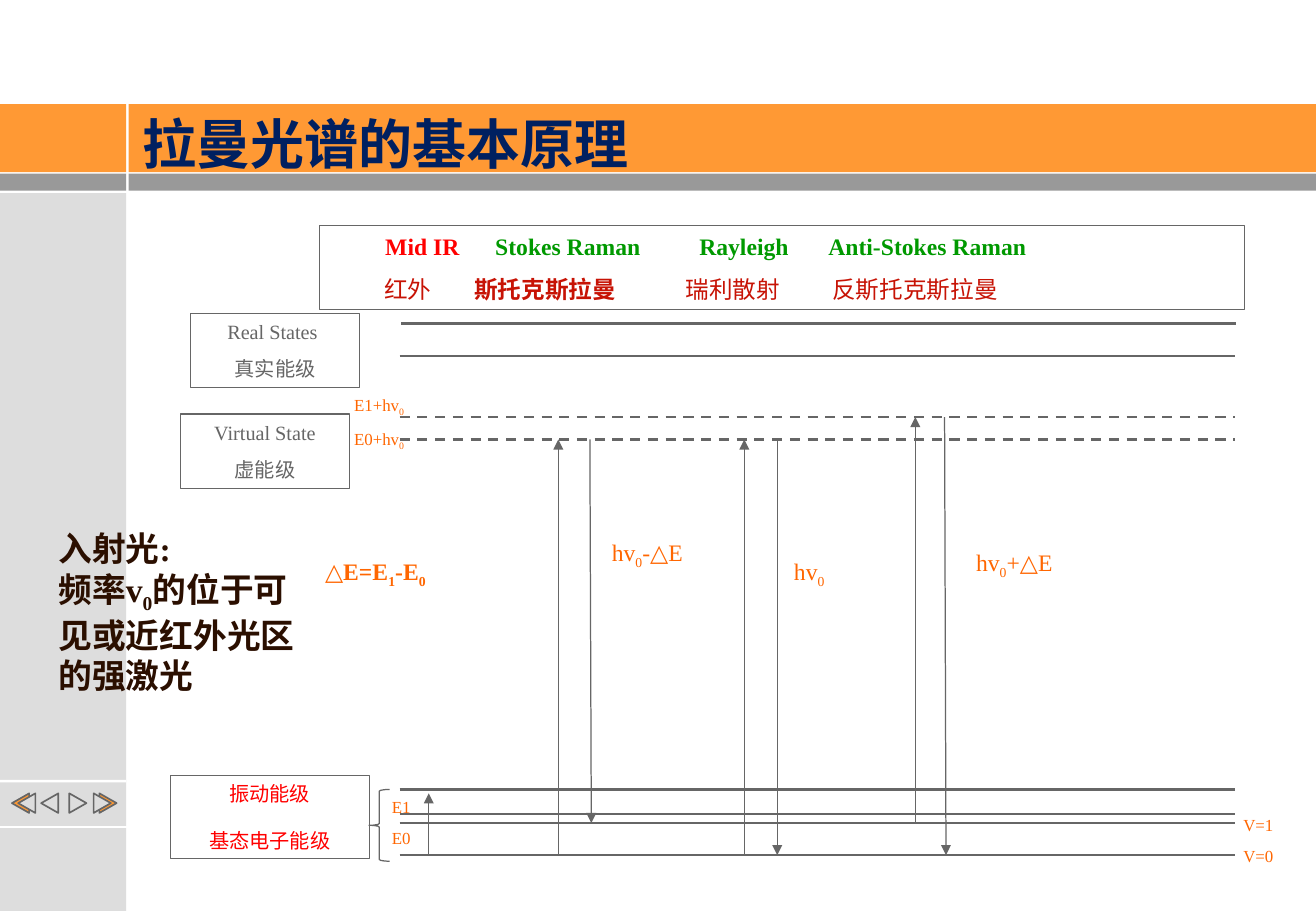
from lxml import etree
from pptx import Presentation
from pptx.dml.color import RGBColor
from pptx.enum.dml import MSO_LINE
from pptx.enum.shapes import MSO_CONNECTOR, MSO_SHAPE as SHAPE
from pptx.enum.text import MSO_ANCHOR, PP_ALIGN
from pptx.oxml.ns import qn
from pptx.util import Cm, Pt

rgb = RGBColor.from_string
SERIF, GREY, ORANGE, RED = "Times New Roman", "666666", "FF6600", "FF0000"


def add_box(x, y, w, h, fill=None, line=None, width=0.75, kind=SHAPE.RECTANGLE):
    sp = s.shapes.add_shape(kind, Cm(x), Cm(y), Cm(w), Cm(h))
    sp.shadow.inherit = False
    if fill:
        sp.fill.solid()
        sp.fill.fore_color.rgb = rgb(fill)
    else:
        sp.fill.background()
    if line:
        sp.line.color.rgb = rgb(line)
        sp.line.width = Pt(width)
    else:
        sp.line.fill.background()
    return sp


def write(sp, lines, size, color, bold=False, before=0, align=PP_ALIGN.LEFT, font=SERIF):
    """Fill a shape with lines; the character after each _ is a subscript."""
    tf = sp.text_frame
    tf.word_wrap = True
    tf.vertical_anchor = MSO_ANCHOR.TOP
    for i, line in enumerate(lines):
        p = tf.add_paragraph() if i else tf.paragraphs[0]
        p.alignment = align
        if i:
            p.space_before = Pt(before)
        first, *rest = line.split("_")
        pieces = [(first, False)]
        for part in rest:
            pieces += [(part[0], True), (part[1:], False)]
        for text, lowered in pieces:
            if not text:
                continue
            r = p.add_run()
            r.text = text
            r.font.size, r.font.bold, r.font.name = Pt(size), bold, font
            r.font.color.rgb = rgb(color)
            if lowered:
                r.font._element.set("baseline", "-25000")
    return tf


prs = Presentation()
prs.slide_width, prs.slide_height = Cm(27.53), Cm(19.05)
s = prs.slides.add_slide(prs.slide_layouts[6])

# Header bands and sidebar
SIDE = 2.64
for x, w in ((0, SIDE), (2.69, 24.84)):
    add_box(x, 2.18, w, 1.42, "FF9934")
    add_box(x, 3.63, w, 0.36, "999999")
add_box(0, 4.04, SIDE, 13.23, "DDDDDD")
add_box(0, 17.32, SIDE, 1.73, "DDDDDD")
add_box(0, 16.31, SIDE, 0.05, "FFFFFF")

# Navigation arrows
for x, fill, turn in ((2.08, "FF9933", 0), (1.96, "DDDDDD", 0), (0.25, "FF9933", 180),
                      (0.38, "DDDDDD", 180), (1.45, None, 0), (0.86, None, 180)):
    arrow = add_box(x, 16.59, 0.36, 0.41, fill, GREY, 1, SHAPE.RIGHT_ARROW)
    arrow.adjustments[0], arrow.adjustments[1] = 0.458, 1
    arrow.rotation = turn

title = add_box(2.74, 2.31, 23.67, 1.24, "FF9934")
title.text_frame.margin_top = title.text_frame.margin_bottom = 0
write(title, ["拉曼光谱的基本原理"], 32, "002060", True, font="Arial")

# State boxes
for x, y, w, h, lines, color in (
        (3.56, 16.21, 4.17, 1.75, ["振动能级", "基态电子能级"], RED),
        (3.78, 8.66, 3.53, 1.55, ["Virtual State", "虚能级"], GREY),
        (3.99, 6.55, 3.53, 1.55, ["Real States ", "真实能级"], GREY)):
    tf = write(add_box(x, y, w, h, line=GREY), lines, 12, color, False, 7.5, PP_ALIGN.CENTER)
    if color == RED:
        tf.paragraphs[1].line_spacing = 1.4
add_box(7.72, 16.51, 0.43, 1.5, line=GREY, kind=SHAPE.LEFT_BRACE)

# Column headings, aligned by tab stops
GREEN, CRIMSON = "009900", "C71305"
headings = (
    ((1.13, "Mid IR", RED, True), (3.43, "Stokes Raman", GREEN, True),
     (7.7, "Rayleigh", GREEN, True), (10.4, "Anti-Stokes Raman", GREEN, True)),
    ((1.11, "红外", CRIMSON, False), (2.99, "斯托克斯拉曼", CRIMSON, True),
     (7.41, "瑞利散射", CRIMSON, False), (10.48, "反斯托克斯拉曼", CRIMSON, False)))
tf = add_box(6.68, 4.72, 19.35, 1.75, line=GREY).text_frame
tf.word_wrap = True
tf.vertical_anchor = MSO_ANCHOR.TOP
for i, row in enumerate(headings):
    p = tf.add_paragraph() if i else tf.paragraphs[0]
    p.alignment = PP_ALIGN.LEFT
    if i:
        p.space_before = Pt(8.8)
    tabs = etree.SubElement(p._p.get_or_add_pPr(), qn("a:tabLst"))
    for stop, text, color, bold in row:
        etree.SubElement(tabs, qn("a:tab"), pos=str(Cm(stop)), algn="l")
        r = p.add_run()
        r.text = "\t" + text
        r.font.size, r.font.bold, r.font.name = Pt(14), bold, SERIF
        r.font.color.rgb = rgb(color)

# Energy levels, then transitions: x1, y1, x2, y2, width, dashed, arrow
LEFT, RIGHT = 8.36, 25.83
E0, E1, VIRTUAL0, VIRTUAL1 = 17.88, 17.21, 9.19, 8.72
lines = [(LEFT, y, RIGHT, y, 1.5, y in (VIRTUAL0, VIRTUAL1), False)
         for y in (7.44, VIRTUAL1, VIRTUAL0, 16.51, 17.02, E1, E0)]
lines.append((8.39, 6.76, 25.86, 6.76, 1.5, False, False))
lines += [(x1, y1, x2, y2, 0.75, False, True) for x1, y1, x2, y2 in (
    (8.97, E0, 8.97, 16.59),
    (11.68, E0, 11.68, VIRTUAL0), (12.34, VIRTUAL0, 12.37, E1),
    (15.57, E0, 15.57, VIRTUAL0), (16.26, VIRTUAL0, 16.26, E0),
    (19.15, E1, 19.15, VIRTUAL1), (19.76, VIRTUAL1, 19.79, E0))]
for x1, y1, x2, y2, width, dashed, arrow in lines:
    c = s.shapes.add_connector(MSO_CONNECTOR.STRAIGHT, Cm(x1), Cm(y1), Cm(x2), Cm(y2))
    c.line.color.rgb = rgb(GREY)
    c.line.width = Pt(width)
    if dashed:
        c.line.dash_style = MSO_LINE.DASH
    if arrow:
        etree.SubElement(c.line._get_or_add_ln(), qn("a:tailEnd"), type="triangle")
    etree.SubElement(c._element.spPr, qn("a:effectLst"))

# Labels
for x, y, w, h, text, size, color, bold in (
        (25.76, 16.92, 1.75, 1.32, ["V=1", "V=0"], 10, ORANGE, False),
        (7.95, 16.54, 1.75, 1.32, ["E1", "E0"], 10, ORANGE, False),
        (7.16, 8.13, 1.75, 1.45, ["E1+hv_0", "E0+hv_0"], 10, ORANGE, False),
        (12.55, 11.13, 2.59, 0.94, ["hv_0-△E"], 14, ORANGE, False),
        (6.55, 11.53, 3, 0.94, ["△E=E_1-E_0"], 14, ORANGE, True),
        (16.36, 11.53, 2.59, 0.94, ["hv_0"], 14, ORANGE, False),
        (20.17, 11.33, 2.59, 0.94, ["hv_0+△E"], 14, ORANGE, False),
        (0.97, 10.92, 5.77, 3.76,
         ["入射光:", "频率v_0的位于可见或近红外光区的强激光"], 20, "2B0F00", True)):
    box = s.shapes.add_textbox(Cm(x), Cm(y), Cm(w), Cm(h))
    write(box, text, size, color, bold, 6.2 if size == 10 else 0)

prs.save("out.pptx")
